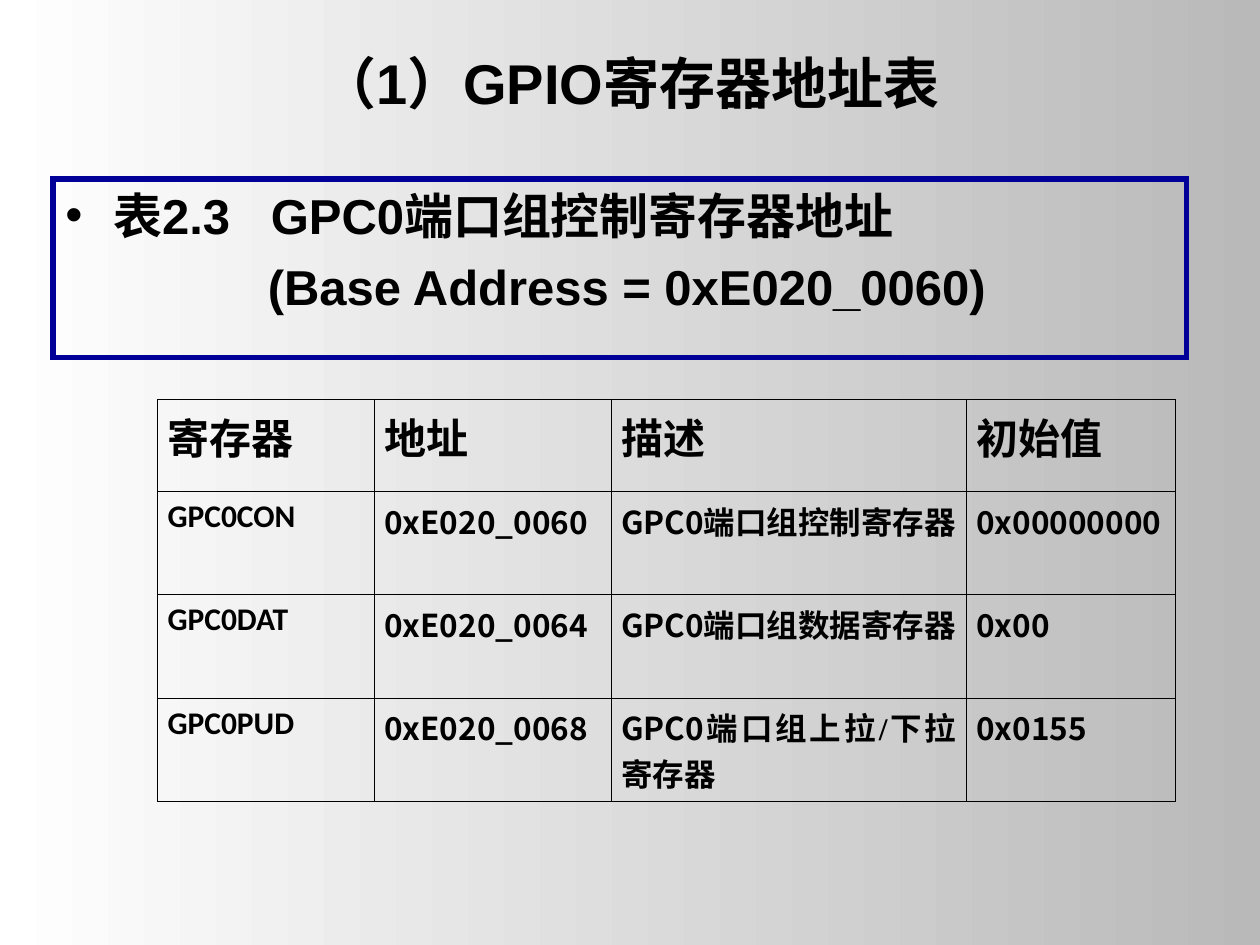
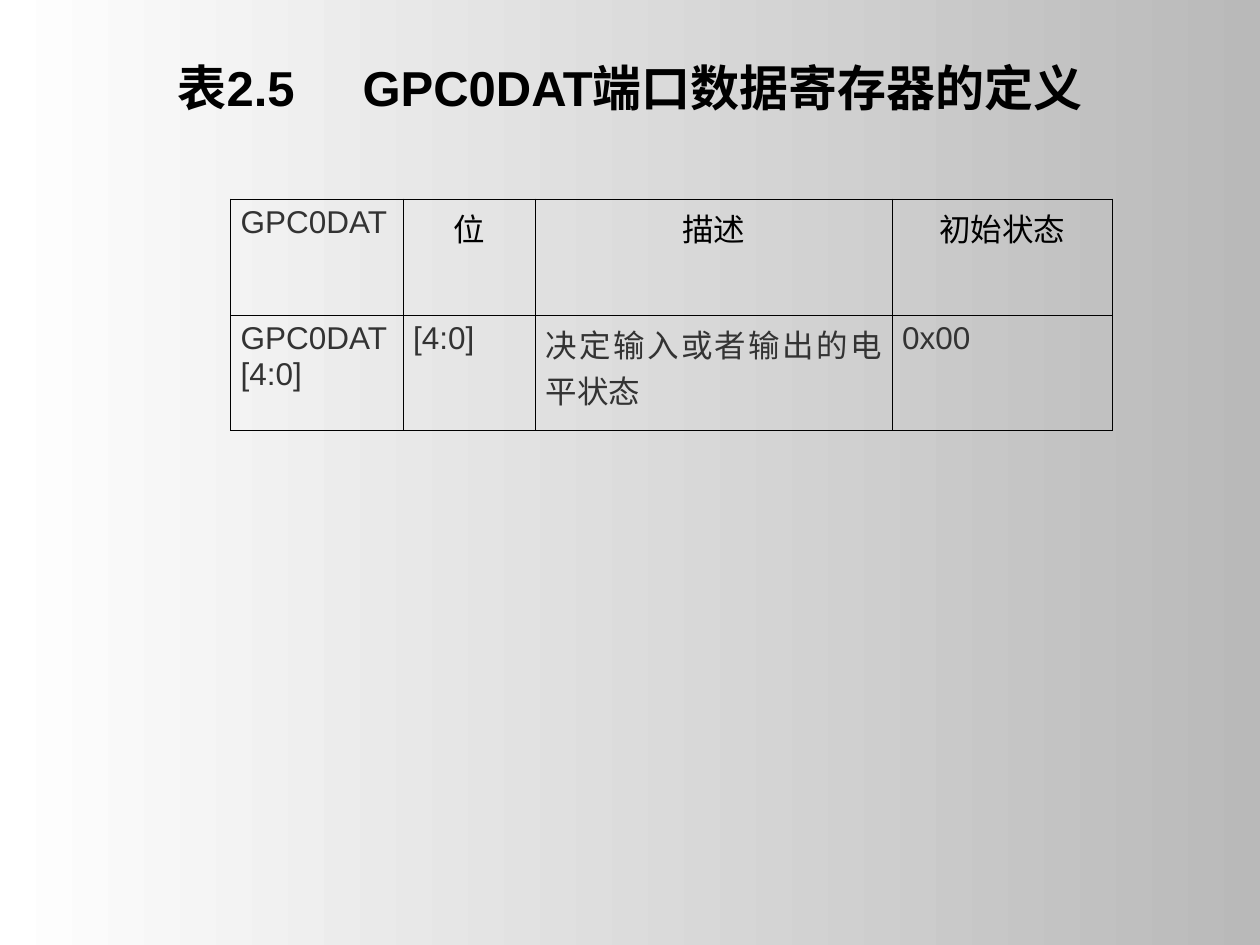
from lxml import etree
from pptx import Presentation
from pptx.dml.color import RGBColor
from pptx.enum.shapes import MSO_SHAPE
from pptx.enum.text import MSO_ANCHOR, PP_ALIGN
from pptx.oxml.ns import qn
from pptx.util import Inches, Pt

WHITE = RGBColor(0xFF, 0xFF, 0xFF)
SILVER = RGBColor(0xB9, 0xB9, 0xB9)
BLACK = RGBColor(0x00, 0x00, 0x00)
CHARCOAL = RGBColor(0x33, 0x33, 0x33)
NAVY = RGBColor(0x00, 0x00, 0x99)

SANS, SERIF, LABEL, CJK = "Arial", "Times New Roman", "Calibri", "Noto Sans CJK SC"
BORDER_PT = 0.45
INDENT = 0.38

# A run is (text, format); a gap is a single space widened by "track" points.
ADDRESS_TITLE = [("（1）GPIO寄存器地址表", {})]
CAPTION = [("表2.3", {}), (" ", {"track": 15.6}), ("GPC0端口组控制寄存器地址", {})]
BASE_ADDRESS = [(" (Base Address = 0xE020_0060)", {})]
ADDRESS_HEADS = ["寄存器", "地址", "描述", "初始值"]
REGISTERS = [
    ("GPC0CON", "0xE020_0060", "端口组控制寄存器", "0x00000000"),
    ("GPC0DAT", "0xE020_0064", "端口组数据寄存器", "0x00"),
    ("GPC0PUD", "0xE020_0068", "端口组上拉/下拉寄存器", "0x0155"),
]

DATA_TITLE = [("表2.5", {}), (" ", {"track": 31.1}), ("GPC0DAT端口数据寄存器的定义", {})]
DATA_HEADS = ["位", "描述", "初始状态"]
DATA_FIELDS = ["GPC0DAT[4:0]", "[4:0]", "决定输入或者输出的电平状态", "0x00"]


def write(p, runs, align=PP_ALIGN.LEFT, **base):
    """Fill a paragraph with runs; each run's format overrides the base."""
    p.alignment = align
    for text, fmt in runs:
        style = {"font": SANS, "size": 18, "bold": False, "color": BLACK, "track": 0, **base, **fmt}
        r = p.add_run()
        r.text = text
        r.font.size = Pt(style["size"])
        r.font.bold = style["bold"]
        r.font.color.rgb = style["color"]
        r.font.name = style["font"]
        rPr = r.font._element
        etree.SubElement(rPr, qn("a:ea"), typeface=CJK)
        if style["track"]:
            rPr.set("spc", str(round(style["track"] * 100)))


def new_slide(prs, title, size, height):
    """Add a slide with the shared gradient and a centred bold title."""
    slide = prs.slides.add_slide(prs.slide_layouts[6])
    fill = slide.background.fill
    fill.gradient()
    fill.gradient_angle = 0
    for stop, position, color in zip(fill.gradient_stops, (0, 1), (WHITE, SILVER)):
        stop.position = position
        stop.color.rgb = color
    sp = slide.shapes.add_textbox(Inches(0.5), Inches(0.3), Inches(9), Inches(height))
    tf = sp.text_frame
    tf.word_wrap = True
    tf.vertical_anchor = MSO_ANCHOR.MIDDLE
    write(tf.paragraphs[0], title, PP_ALIGN.CENTER, size=size, bold=True)
    return slide


def add_caption_box(slide):
    sp = slide.shapes.add_shape(MSO_SHAPE.RECTANGLE, Inches(0.42), Inches(1.42), Inches(9), Inches(1.42))
    sp.shadow.inherit = False
    sp.fill.background()
    sp.line.color.rgb = NAVY
    sp.line.width = Pt(3)
    etree.SubElement(sp.line._get_or_add_ln(), qn("a:miter"), lim="800000")
    tf = sp.text_frame
    tf.word_wrap = True
    tf.vertical_anchor = MSO_ANCHOR.TOP
    lines = [(CAPTION, PP_ALIGN.LEFT, "•"), (BASE_ADDRESS, PP_ALIGN.CENTER, None)]
    for i, (runs, align, bullet) in enumerate(lines):
        p = tf.add_paragraph() if i else tf.paragraphs[0]
        p.space_before = Pt(7)
        write(p, runs, align, size=28, bold=True)
        pPr = p._p.get_or_add_pPr()
        pPr.set("marL", str(Inches(INDENT)))
        pPr.set("indent", str(-Inches(INDENT)))
        if bullet:
            color = etree.SubElement(pPr, qn("a:buClr"))
            etree.SubElement(color, qn("a:srgbClr"), val=str(BLACK))
            etree.SubElement(pPr, qn("a:buFont"), typeface=SANS)
            etree.SubElement(pPr, qn("a:buChar"), char=bullet)
        else:
            etree.SubElement(pPr, qn("a:buNone"))


def set_borders(cell):
    tcPr = cell._tc.get_or_add_tcPr()
    for i, side in enumerate(("lnL", "lnR", "lnT", "lnB")):
        ln = etree.Element(qn(f"a:{side}"), w=str(Pt(BORDER_PT)))
        fill = etree.SubElement(ln, qn("a:solidFill"))
        etree.SubElement(fill, qn("a:srgbClr"), val=str(BLACK))
        tcPr.insert(i, ln)


def add_grid(slide, left, top, widths, head_height, body_height, rows):
    """Draw a bordered, unfilled table; each cell is (runs, alignment)."""
    heights = [head_height] + [body_height] * (len(rows) - 1)
    frame = slide.shapes.add_table(len(rows), len(widths), Inches(left), Inches(top),
                                   Inches(sum(widths)), Inches(sum(heights)))
    table = frame.table
    table.first_row = table.horz_banding = False
    for column, width in zip(table.columns, widths):
        column.width = Inches(width)
    for y, (row, height) in enumerate(zip(rows, heights)):
        table.rows[y].height = Inches(height)
        for x, (runs, align) in enumerate(row):
            cell = table.cell(y, x)
            cell.margin_left = cell.margin_right = Inches(0.08)
            cell.margin_top = cell.margin_bottom = Inches(0.05)
            cell.fill.background()
            set_borders(cell)
            write(cell.text_frame.paragraphs[0], runs, align)


def justified(*runs, **fmt):
    return [(text, {"font": font, **fmt}) for text, font in runs], PP_ALIGN.JUSTIFY


def address_rows():
    yield [justified((head, SERIF), size=24, bold=True) for head in ADDRESS_HEADS]
    for name, address, purpose, initial in REGISTERS:
        cells = [[(name, LABEL)], [(address, CJK)],
                 [("GPC0", CJK), (purpose, SERIF)], [(initial, CJK)]]
        yield [justified(*runs, bold=True) for runs in cells]


def data_rows():
    heads = [([(head, {"font": SERIF})], PP_ALIGN.CENTER) for head in DATA_HEADS]
    yield [justified(("GPC0DAT", SANS), color=CHARCOAL)] + heads
    yield [justified((text, SANS), color=CHARCOAL) for text in DATA_FIELDS]


def main():
    prs = Presentation()
    prs.slide_width, prs.slide_height = Inches(10), Inches(7.5)

    slide = new_slide(prs, ADDRESS_TITLE, size=32, height=0.7)
    add_caption_box(slide)
    add_grid(slide, 1.25, 3.17, [1.72, 1.88, 2.82, 1.66], 0.73, 0.82, list(address_rows()))

    slide = new_slide(prs, DATA_TITLE, size=28, height=0.78)
    add_grid(slide, 1.83, 1.58, [1.37, 1.05, 2.83, 1.75], 0.92, 0.92, list(data_rows()))

    prs.save("out.pptx")


if __name__ == "__main__":
    main()
